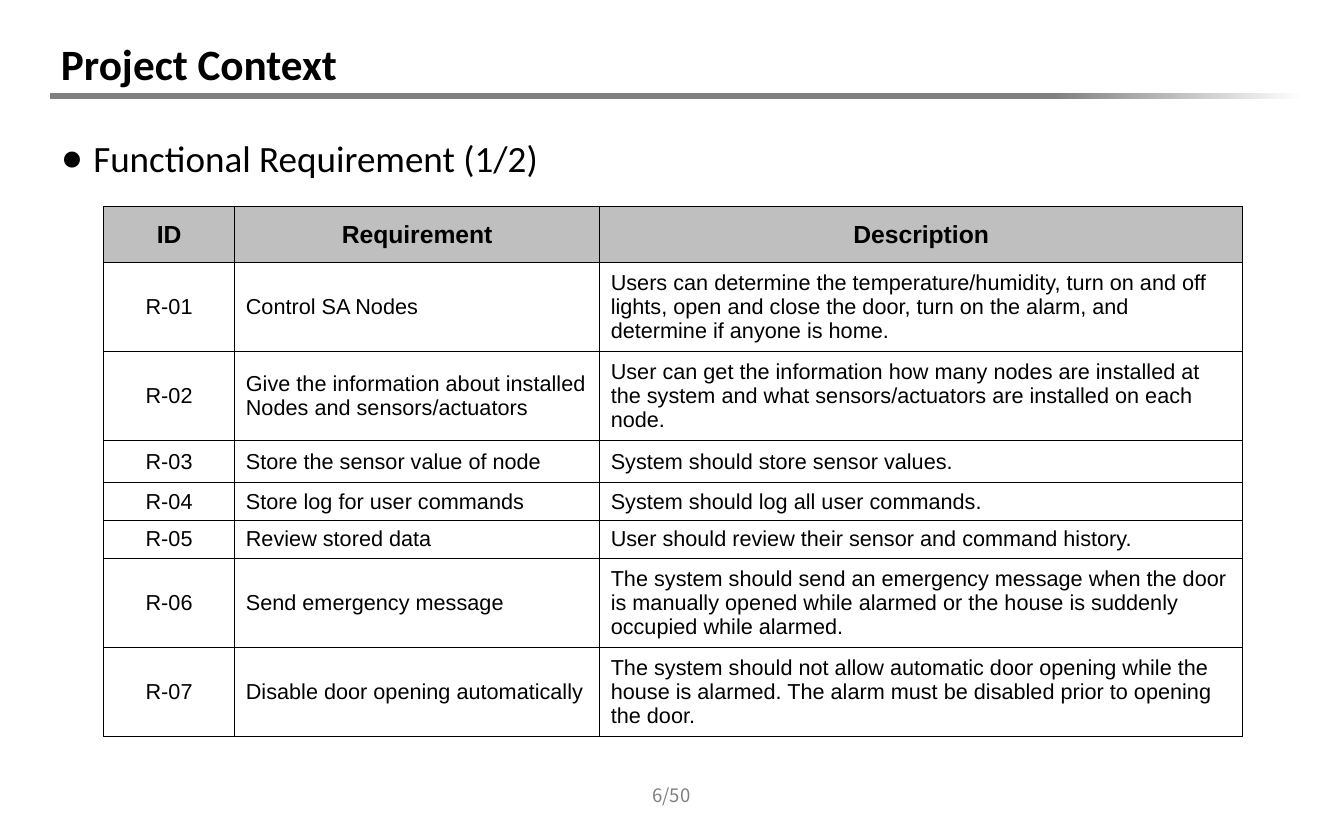
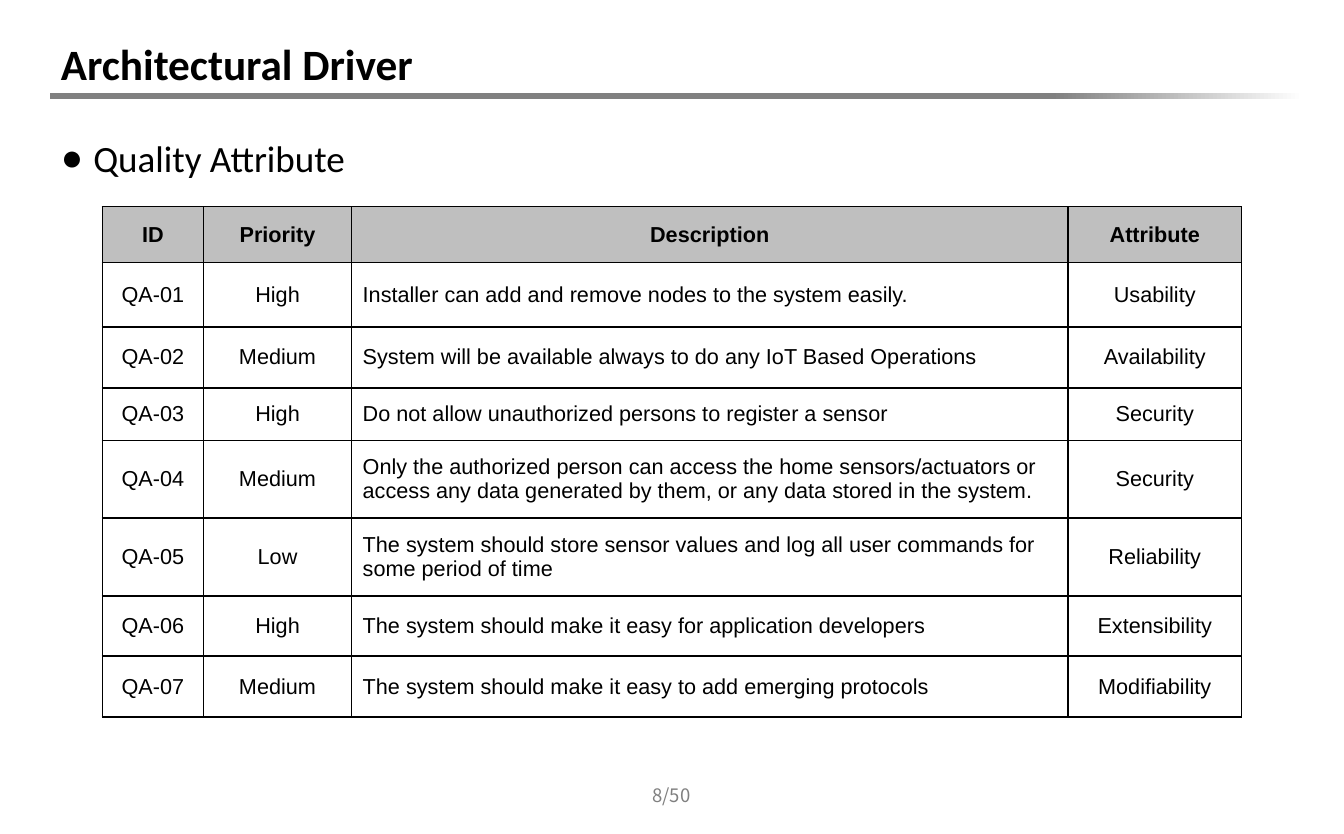
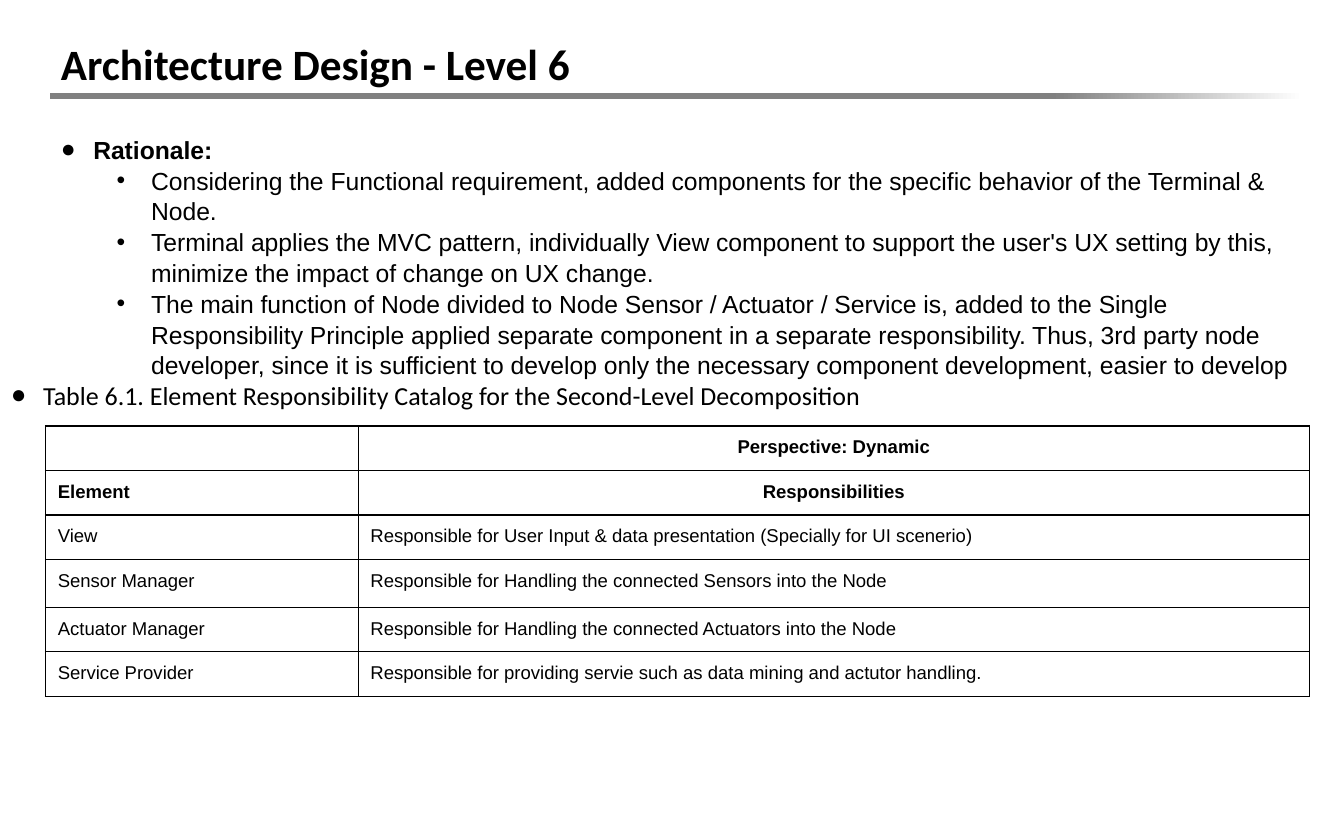
from copy import deepcopy

from pptx import Presentation
from pptx.dml.color import RGBColor
from pptx.enum.shapes import MSO_SHAPE as Shape
from pptx.enum.text import MSO_ANCHOR as Anchor, PP_ALIGN as Align
from pptx.oxml import parse_xml
from pptx.oxml.ns import nsdecls, qn
from pptx.util import Inches, Pt

BLACK, GRAY, SILVER, WHITE = "000000", "808080", "BFBFBF", "FFFFFF"
HEAD, BODY, FOOT = "Calibri", "Arial", "Noto Sans CJK KR"
MAIN = (0.45, 1.15, 11.26, 5.67)
SIDES = {"l": Align.LEFT, "c": Align.CENTER}
DOT = dict(bullet="●", left=0.29, hang=0.29)
SUB = dict(bullet="•", left=0.81, hang=0.31, size=16, lead=1.04)
TOPIC = dict(DOT, size=24, font=HEAD, lead=1.04)

# Content: paragraphs as (text, format); tables as rows plus layout
SLIDES = [
    dict(
        title="Project Context", page="6/50",
        texts=[(MAIN, [("Functional Requirement (1/2)", TOPIC)])],
        table=dict(
            at=(0.93, 1.86), cols=[1.18, 3.28, 5.78], sides="cll", tops="ccc",
            high=[0.5, 0.8, 0.8, 0.38, 0.34, 0.34, 0.8, 0.8],
            top=16, size=14, fills=(SILVER, WHITE),
            rows=[
                ("ID", "Requirement", "Description"),
                ("R-01", "Control SA Nodes",
                 "Users can determine the temperature/humidity, turn on and off lights, open and "
                 "close the door, turn on the alarm, and determine if anyone is home."),
                ("R-02", "Give the information about installed Nodes and sensors/actuators",
                 "User can get the information how many nodes are installed at the system and "
                 "what sensors/actuators are installed on each node."),
                ("R-03", "Store the sensor value of node", "System should store sensor values."),
                ("R-04", "Store log for user commands", "System should log all user commands."),
                ("R-05", "Review stored data",
                 "User should review their sensor and command history."),
                ("R-06", "Send emergency message",
                 "The system should send an emergency message when the door is manually opened "
                 "while alarmed or the house is suddenly occupied while alarmed."),
                ("R-07", "Disable door opening automatically",
                 "The system should not allow automatic door opening while the house is alarmed. "
                 "The alarm must be disabled prior to opening the door."),
            ]),
    ),
    dict(
        title="Architectural Driver", page="8/50",
        texts=[(MAIN, [("Quality Attribute", TOPIC)])],
        table=dict(
            at=(0.92, 1.86), cols=[0.91, 1.33, 6.44, 1.56], sides="cclc", tops="cccc",
            high=[0.5, 0.58, 0.55, 0.47, 0.7, 0.7, 0.54, 0.55],
            top=14, size=14, fills=(SILVER, WHITE),
            rows=[
                ("ID", "Priority", "Description", "Attribute"),
                ("QA-01", "High", "Installer can add and remove nodes to the system easily.",
                 "Usability"),
                ("QA-02", "Medium",
                 "System will be available always to do any IoT Based Operations",
                 "Availability"),
                ("QA-03", "High", "Do not allow unauthorized persons to register a sensor",
                 "Security"),
                ("QA-04", "Medium",
                 "Only the authorized person can access the home sensors/actuators or access any "
                 "data generated by them, or any data stored in the system.", "Security"),
                ("QA-05", "Low",
                 "The system should store sensor values and log all user commands for some "
                 "period of time", "Reliability"),
                ("QA-06", "High", "The system should make it easy for application developers",
                 "Extensibility"),
                ("QA-07", "Medium", "The system should make it easy to add emerging protocols",
                 "Modifiability"),
            ]),
    ),
    dict(
        title="Architecture Design - Level 6",
        texts=[
            (MAIN, [
                ("Rationale:", dict(DOT, size=16, bold=True, lead=1.04)),
                ("Considering the Functional requirement, added components for the specific "
                 "behavior of the Terminal & Node.", SUB),
                ("Terminal applies the MVC pattern, individually View component to support the "
                 "user's UX setting by this, minimize the impact of change on UX change.", SUB),
                ("The main function of Node divided to Node Sensor / Actuator / Service is, "
                 "added to the Single Responsibility Principle applied separate component in a "
                 "separate responsibility. Thus, 3rd party node developer, since it is "
                 "sufficient to develop only the necessary component development, easier to "
                 "develop", SUB),
            ]),
            ((0, 3.36, 11.5, 0.47), [
                ("Table 6.1. Element Responsibility Catalog for the Second-Level Decomposition",
                 dict(DOT, size=16.8, font=HEAD)),
            ]),
        ],
        table=dict(
            at=(0.41, 3.83), cols=[2.81, 8.55], sides="ll", tops="lc", heads=2,
            high=[0.4, 0.38, 0.38, 0.43, 0.38, 0.38],
            top=12, size=12, pad=(0.11, 0.1), anchor=Anchor.TOP,
            rows=[
                ("", "Perspective: Dynamic"),
                ("Element", "Responsibilities"),
                ("View",
                 "Responsible for User Input & data presentation (Specially for UI scenerio)"),
                ("Sensor Manager", "Responsible for Handling the connected Sensors into the Node"),
                ("Actuator Manager",
                 "Responsible for Handling the connected Actuators into the Node"),
                ("Service Provider",
                 "Responsible for providing servie such as data mining and actutor handling."),
            ]),
    ),
]


def color(code):
    return RGBColor.from_string(code)


def write(para, text, size=14, font=BODY, ink=BLACK, bold=False, side="l",
          lead=None, bullet=None, left=0, hang=0):
    """Put one formatted run, with an optional bullet, in a paragraph."""
    para.alignment = SIDES[side]
    if lead:
        para.line_spacing = lead
    if bullet:
        props = para._p.get_or_add_pPr()
        props.set("marL", str(Inches(left)))
        props.set("indent", str(-Inches(hang)))
        props.append(parse_xml(f'<a:buFont {nsdecls("a")} typeface="{BODY}"/>'))
        props.append(parse_xml(f'<a:buChar {nsdecls("a")} char="{bullet}"/>'))
    run = para.add_run()
    run.text = text
    face = run.font
    face.size, face.name, face.bold = Pt(size), font, bold
    face.color.rgb = color(ink)


def add_text(slide, box, paras, anchor=Anchor.TOP):
    frame = slide.shapes.add_textbox(*map(Inches, box)).text_frame
    frame.word_wrap = True
    frame.vertical_anchor = anchor
    for i, (text, form) in enumerate(paras):
        write(frame.add_paragraph() if i else frame.paragraphs[0], text, **form)


def add_band(slide):
    """Rule under the title, fading out at its right end."""
    band = slide.shapes.add_shape(Shape.FLOWCHART_PROCESS,
                                  *map(Inches, (0.45, 0.84, 11.26, 0.05)))
    band.shadow.inherit = False
    band.line.fill.background()
    band.fill.gradient()
    band.fill.gradient_angle = 0
    first, last = band.fill.gradient_stops
    first.color.rgb, first.position = color(GRAY), 0
    last.color.rgb, last.position = color(WHITE), 1
    stops = band._element.spPr.find(qn("a:gradFill")).find(qn("a:gsLst"))
    mid = deepcopy(stops[0])
    mid.set("pos", "80000")
    stops.insert(1, mid)


def add_edges(cell):
    props = cell._tc.get_or_add_tcPr()
    for i, edge in enumerate("LRTB"):
        props.insert(i, parse_xml(
            f'<a:ln{edge} {nsdecls("a")} w="{Pt(1)}"><a:solidFill>'
            f'<a:srgbClr val="{BLACK}"/></a:solidFill></a:ln{edge}>'))


def add_grid(slide, at, cols, high, rows, sides, tops, top, size, heads=1,
             fills=(None, None), pad=(0.1, 0.05), anchor=Anchor.MIDDLE):
    area = (*at, sum(cols), sum(high))
    grid = slide.shapes.add_table(len(rows), len(cols), *map(Inches, area)).table
    grid.first_row = grid.horz_banding = False
    for col, wide in zip(grid.columns, cols):
        col.width = Inches(wide)
    for r, (row, tall) in enumerate(zip(rows, high)):
        grid.rows[r].height = Inches(tall)
        head = r < heads
        fill = fills[0 if head else 1]
        for c, text in enumerate(row):
            cell = grid.cell(r, c)
            if fill:
                cell.fill.solid()
                cell.fill.fore_color.rgb = color(fill)
            else:
                cell.fill.background()
            add_edges(cell)
            if not text:
                continue
            cell.vertical_anchor = anchor
            cell.margin_left = cell.margin_right = Inches(pad[0])
            cell.margin_top = cell.margin_bottom = Inches(pad[1])
            write(cell.text_frame.paragraphs[0], text, size=top if head else size,
                  bold=head, side=(tops if head else sides)[c])


def main():
    deck = Presentation()
    deck.slide_width, deck.slide_height = Inches(12.08), Inches(7.5)
    for item in SLIDES:
        slide = deck.slides.add_slide(deck.slide_layouts[6])
        # Shared frame: band, title, page number
        add_band(slide)
        add_text(slide, (0.45, 0.3, 11.26, 0.54),
                 [(item["title"], dict(size=28, font=HEAD, bold=True))], Anchor.MIDDLE)
        if "page" in item:
            add_text(slide, (5.49, 6.95, 1.09, 0.4),
                     [(item["page"], dict(size=12, font=FOOT, ink=GRAY, side="c"))],
                     Anchor.MIDDLE)
        # Own content
        for box, paras in item["texts"]:
            add_text(slide, box, paras)
        add_grid(slide, **item["table"])
    deck.save("out.pptx")


if __name__ == "__main__":
    main()
